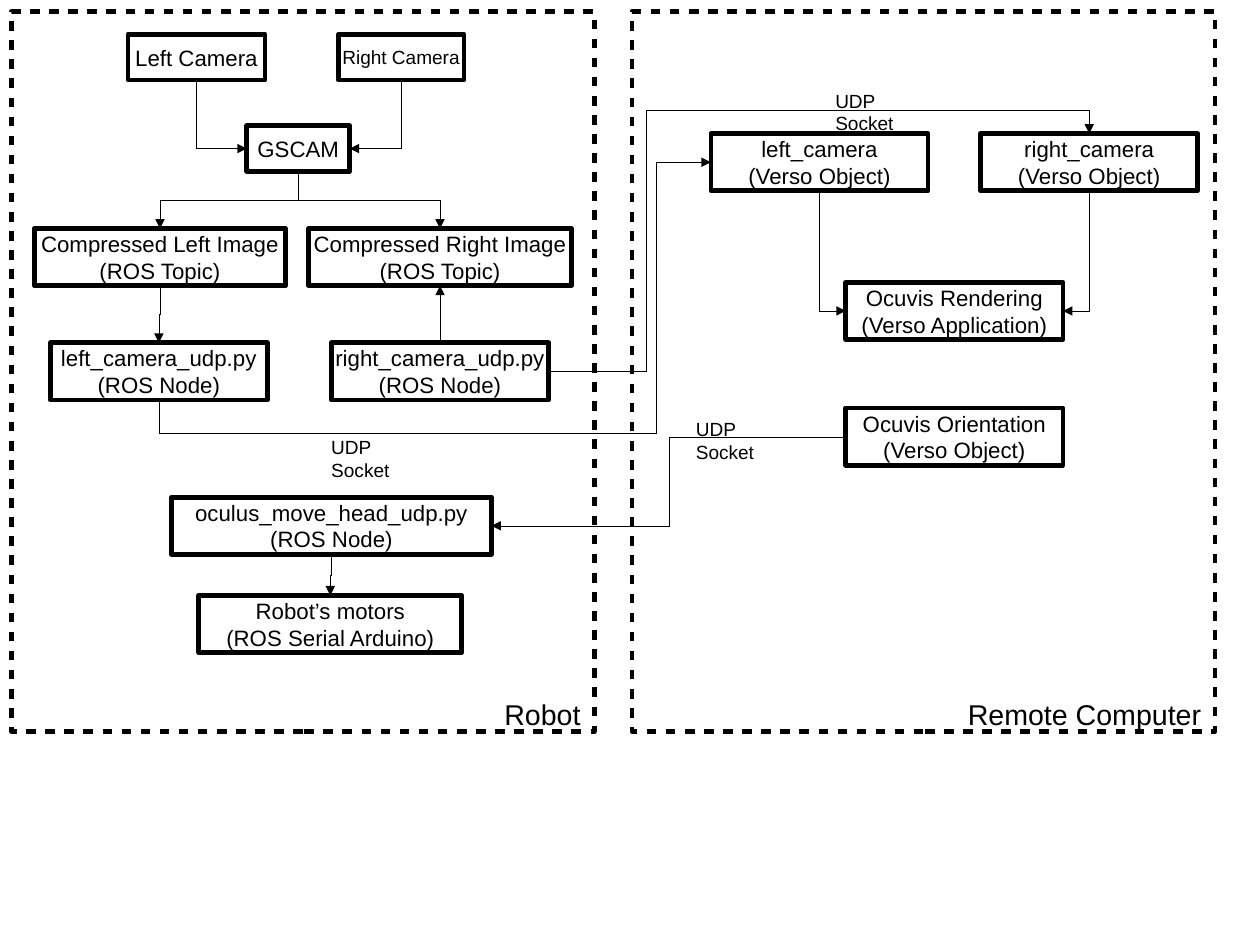
import lxml.etree
import pptx
import pptx.dml.color
import pptx.enum.shapes
import pptx.enum.text
import pptx.oxml.ns
import pptx.util

Inches = pptx.util.Inches
Pt = pptx.util.Pt
qn = pptx.oxml.ns.qn
ALIGN = pptx.enum.text.PP_ALIGN
ANCHOR = pptx.enum.text.MSO_ANCHOR
FIT = pptx.enum.text.MSO_AUTO_SIZE
CONNECTOR = pptx.enum.shapes.MSO_CONNECTOR
TOP, LEFT, BOTTOM, RIGHT = range(4)
INK = "000000"
PAPER = "FFFFFF"

ROBOT_NODES = {
    "left lens": (1.02, 0.2, 1.2, 0.4, 14, ["Left Camera"]),
    "right lens": (2.86, 0.2, 1.1, 0.4, 12, ["Right Camera"]),
    "gscam": (2.06, 1, 0.9, 0.4, 14, ["GSCAM"]),
    "left topic": (0.2, 1.9, 2.2, 0.5, 14, ["Compressed Left Image", "(ROS Topic)"]),
    "right topic": (2.6, 1.9, 2.3, 0.5, 14, ["Compressed Right Image", "(ROS Topic)"]),
    "left sender": (0.34, 2.9, 1.9, 0.5, 14, ["left_camera_udp.py", "(ROS Node)"]),
    "right sender": (2.8, 2.9, 1.9, 0.5, 14, ["right_camera_udp.py", "(ROS Node)"]),
    "head mover": (1.4, 4.25, 2.8, 0.5, 14, ["oculus_move_head_udp.py", "(ROS Node)"]),
    "motors": (1.64, 5.11, 2.3, 0.5, 14, ["Robot’s motors", "(ROS Serial Arduino)"]),
}
REMOTE_NODES = {
    "left view": (0.69, 1.07, 1.9, 0.5, 14, ["left_camera", "(Verso Object)"]),
    "right view": (3.05, 1.07, 1.9, 0.5, 14, ["right_camera", "(Verso Object)"]),
    "rendering": (1.87, 2.37, 1.9, 0.5, 14, ["Ocuvis Rendering", "(Verso Application)"]),
    "orientation": (1.87, 3.47, 1.9, 0.5, 14, ["Ocuvis Orientation", "(Verso Object)"]),
}
LINKS = [
    ("right lens", BOTTOM, "gscam", RIGHT, []),
    ("left lens", BOTTOM, "gscam", LEFT, []),
    ("gscam", BOTTOM, "left topic", TOP, [0.5]),
    ("gscam", BOTTOM, "right topic", TOP, [0.5]),
    ("left topic", BOTTOM, "left sender", TOP, [0.5]),
    ("right sender", TOP, "right topic", BOTTOM, []),
    ("right sender", RIGHT, "right view", TOP, [0.18, 1.1]),
    ("left sender", BOTTOM, "left view", LEFT, [-0.14, 0.9]),
    ("left view", BOTTOM, "rendering", LEFT, []),
    ("right view", BOTTOM, "rendering", RIGHT, []),
    ("orientation", LEFT, "head mover", RIGHT, [0.5]),
    ("head mover", BOTTOM, "motors", TOP, [0.5]),
]
SOCKET_LABELS = [(2.8, 3.76), (7.21, 0.73), (5.99, 3.6)]


def colour(hex_value):
    """Return the RGB colour for a hex string."""
    return pptx.dml.color.RGBColor.from_string(hex_value)


def write(shape, lines, size, align, **frame_format):
    """Fill a shape with unwrapped lines of text."""
    frame = shape.text_frame
    for name, value in {"word_wrap": False, **frame_format}.items():
        setattr(frame, name, value)
    frame.text = "\n".join(lines)
    for paragraph in frame.paragraphs:
        paragraph.alignment = align
        for name, value in {"name": "Arial", "size": Pt(size)}.items():
            setattr(paragraph.font, name, value)
        paragraph.font.color.rgb = colour(INK)


def add_outlined(slide, box):
    """Add a rectangle with a thick outline."""
    outlined = slide.shapes.add_shape(
        pptx.enum.shapes.MSO_SHAPE.RECTANGLE, *map(Inches, box))
    outlined.shadow.inherit = False
    outlined.line.color.rgb = colour(INK)
    outlined.line.width = Pt(3)
    return outlined


def add_machine(slide, box, title, nodes):
    """Draw a dashed machine frame and its nodes, returned by key."""
    x, y, _, _ = box
    machine = add_outlined(slide, box)
    machine.fill.background()
    outline = machine.line._get_or_add_ln()
    dashes = lxml.etree.SubElement(outline, qn("a:custDash"))
    lxml.etree.SubElement(dashes, qn("a:ds"), d="200000", sp="200000")
    write(machine, [title], 18, ALIGN.RIGHT, vertical_anchor=ANCHOR.BOTTOM,
          margin_right=Inches(0.12), margin_bottom=0)
    placed = {}
    for key, (dx, dy, width, height, size, lines) in nodes.items():
        node = add_outlined(slide, (x + dx, y + dy, width, height))
        node.fill.solid()
        node.fill.fore_color.rgb = colour(PAPER)
        write(node, lines, size, ALIGN.CENTER, vertical_anchor=ANCHOR.MIDDLE,
              margin_left=Inches(0.12), margin_right=Inches(0.12),
              margin_top=Inches(0.07), margin_bottom=Inches(0.07))
        placed[key] = node
    return placed


def side_middle(node, side):
    """Return the middle point of one side of a node."""
    across = {LEFT: 0, RIGHT: 2}.get(side, 1)
    down = {TOP: 0, BOTTOM: 2}.get(side, 1)
    return node.left + node.width * across // 2, node.top + node.height * down // 2


def bend(link, begin, end, leaves_down, enters_down, bends):
    """Route an elbow connector by rotation, flips and bend positions."""
    dx, dy = end[0] - begin[0], end[1] - begin[1]
    if leaves_down:
        turn = 270 if dx > 0 and dy > 0 else 90
    else:
        turn = 0 if dx > 0 else 180
    along, aside = {0: (dx, dy), 90: (dy, -dx), 180: (-dx, -dy), 270: (-dy, dx)}[turn]
    width, height = abs(along), abs(aside)
    placement = {
        "left": (begin[0] + end[0] - width) // 2,
        "top": (begin[1] + end[1] - height) // 2,
        "width": width,
        "height": height,
    }
    for name, value in placement.items():
        setattr(link, name, value)
    properties = link._element.spPr
    transform = properties.find(qn("a:xfrm"))
    turns = {"rot": turn * 60000, "flipH": int(along < 0), "flipV": int(aside < 0)}
    for name, value in turns.items():
        transform.set(name, str(value))
    geometry = properties.find(qn("a:prstGeom"))
    segments = 3 if leaves_down == enters_down else 2 + len(bends)
    geometry.set("prst", f"bentConnector{segments}")
    adjustments = geometry.find(qn("a:avLst"))
    for number, share in enumerate(bends, 1):
        lxml.etree.SubElement(adjustments, qn("a:gd"), name=f"adj{number}",
                              fmla=f"val {round(share * 100000)}")


def add_link(slide, source, source_side, target, target_side, bends):
    """Join two nodes with a hairline arrow."""
    begin, end = side_middle(source, source_side), side_middle(target, target_side)
    straight = abs(end[0] - begin[0]) < 100
    kind = CONNECTOR.STRAIGHT if straight else CONNECTOR.ELBOW
    link = slide.shapes.add_connector(kind, *begin, *end)
    link.begin_connect(source, source_side)
    link.end_connect(target, target_side)
    if not straight:
        upright = (TOP, BOTTOM)
        bend(link, begin, end, source_side in upright, target_side in upright, bends)
    link.line.color.rgb = colour(INK)
    link.line.width = Pt(0.01)
    lxml.etree.SubElement(link.line._get_or_add_ln(), qn("a:tailEnd"), type="triangle")
    lxml.etree.SubElement(link._element.spPr, qn("a:effectLst"))


def add_socket_label(slide, box):
    """Name the protocol beside a link."""
    label = slide.shapes.add_textbox(*map(Inches, box))
    write(label, ["UDP Socket"], 12, ALIGN.LEFT, auto_size=FIT.SHAPE_TO_FIT_TEXT)


def main():
    """Build the camera and head tracking diagram."""
    deck = pptx.Presentation()
    deck.slide_width = Inches(28 / 2.54)
    deck.slide_height = Inches(21 / 2.54)
    slide = deck.slides.add_slide(deck.slide_layouts[6])
    nodes = add_machine(slide, (0.1, 0.1, 5.1, 6.3), "Robot", ROBOT_NODES)
    nodes.update(add_machine(slide, (5.53, 0.1, 5.1, 6.3), "Remote Computer", REMOTE_NODES))
    for source, source_side, target, target_side, bends in LINKS:
        add_link(slide, nodes[source], source_side, nodes[target], target_side, bends)
    for x, y in SOCKET_LABELS:
        add_socket_label(slide, (x, y, 1.1, 0.29))
    deck.save("out.pptx")


if __name__ == "__main__":
    main()
